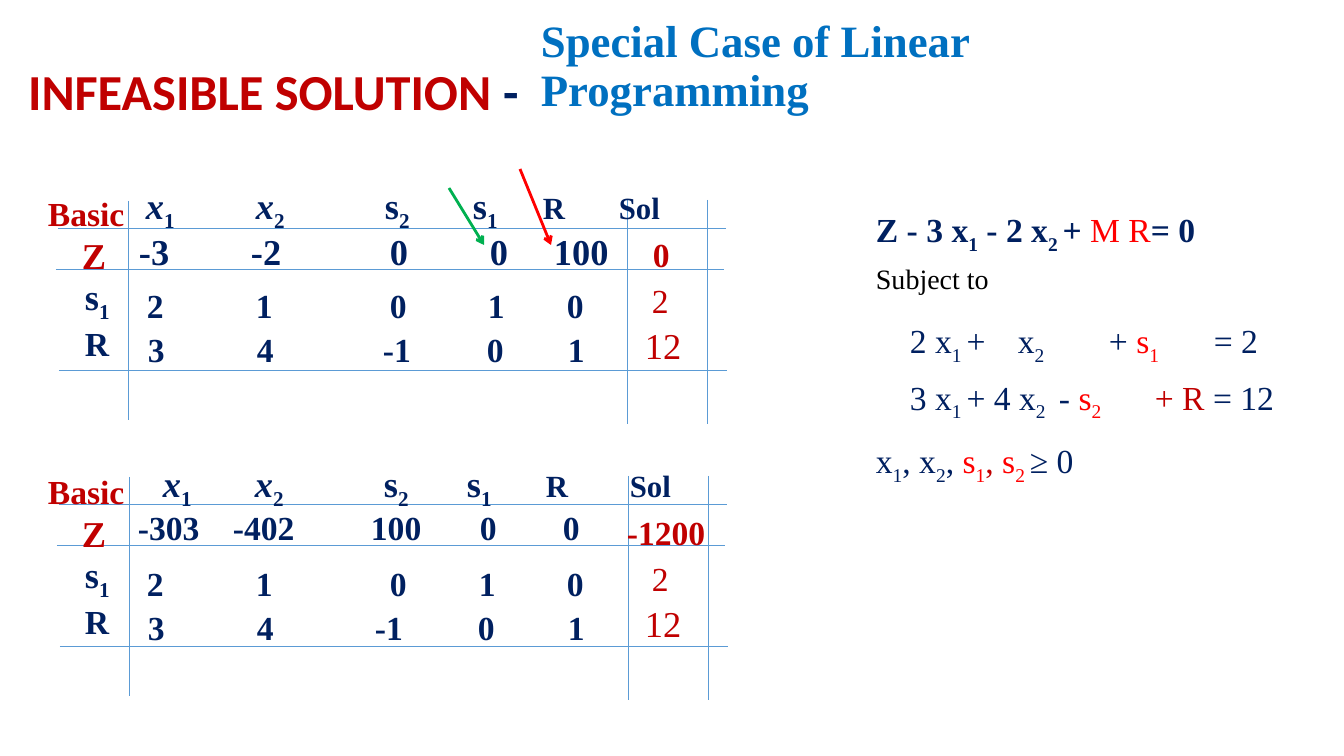
from lxml import etree
from pptx import Presentation
from pptx.dml.color import RGBColor
from pptx.enum.shapes import MSO_CONNECTOR
from pptx.enum.text import MSO_ANCHOR, MSO_AUTO_SIZE, PP_ALIGN
from pptx.oxml.ns import qn
from pptx.util import Pt

PX = 914400 / 100.8
INSET = 10
STRAIGHT = MSO_CONNECTOR.STRAIGHT
BOTTOM = MSO_ANCHOR.BOTTOM
NO_FIT = MSO_AUTO_SIZE.NONE
LEFT = PP_ALIGN.LEFT
SERIF = "Times New Roman"
COLORS = {"navy": "002060", "dark_red": "C00000", "red": "FF0000", "green": "00B050",
          "sky": "0070C0", "grid": "5B9BD5", "black": "000000"}

deck = Presentation()
deck.slide_width, deck.slide_height = round(1344 * PX), round(756 * PX)
page = deck.slides.add_slide(deck.slide_layouts[5])


def write_runs(para, runs, size, font=SERIF, left=0, stops=()):
    para.alignment = LEFT
    if stops:
        tab_list = etree.SubElement(para._p.get_or_add_pPr(), qn("a:tabLst"))
        for stop in stops:
            position = round((stop - left - INSET) * PX)
            etree.SubElement(tab_list, qn("a:tab"), pos=str(position), algn="l")
    for text, color, style in runs:
        span = para.add_run()
        span.text = text
        span.font.name = font
        span.font.size = Pt(size)
        span.font.bold = "b" in style
        span.font.italic = "i" in style
        span.font.color.rgb = RGBColor.from_string(COLORS[color])
        if "_" in style:
            span._r.get_or_add_rPr().set("baseline", "-25000")


def add_line(x1, y1, x2, y2, color, width):
    line = page.shapes.add_connector(
        STRAIGHT, *[round(value * PX) for value in (x1, y1, x2, y2)])
    line.line.color.rgb = RGBColor.from_string(COLORS[color])
    line.line.width = Pt(width)
    etree.SubElement(line._element.spPr, qn("a:effectLst"))
    return line


title = page.shapes.title
subtitle = page.shapes.add_textbox(0, 0, 0, 0)
headings = [
    (title, (18, 55, 535, 71), 36, "Calibri",
     [("INFEASIBLE SOLUTION ", "dark_red", "b"), ("-", "navy", "b")]),
    (subtitle, (531, 50, 700, 71), 32, SERIF,
     [("Special Case of Linear Programming", "sky", "b")]),
]
for box, place, size, font, runs in headings:
    box.left, box.top, box.width, box.height = [round(value * PX) for value in place]
    frame = box.text_frame
    frame.word_wrap = True
    frame.auto_size = NO_FIT
    frame.vertical_anchor = BOTTOM
    frame.paragraphs[0].line_spacing = 0.9
    write_runs(frame.paragraphs[0], runs, size, font)

grid_lines = [(58, 228, 726, 228), (56, 269, 724, 269), (59, 370, 727, 370),
              (128, 201, 128, 420), (627, 200, 627, 424), (707, 200, 707, 424)]
variables = [("x", "1", "bi"), ("x", "2", "bi"), ("s", "2", "b"), ("s", "1", "b")]
tableaus = [
    {"shift": 0, "line_shift": (0, 0),
     "header": [146, 256, 385, 473, 543, 619],
     "rows": [(224, 26, [139, 251, 390, 490, 554], ["-3", "-2", "0", "0", "100"]),
              (280, 24, [147, 256, 390, 488, 567], ["2", "1", "0", "1", "0"]),
              (324, 24, [148, 257, 383, 487, 568], ["3", "4", "-1", "0", "1"])],
     "z_solution": (653, "0")},
    {"shift": 278, "line_shift": (1, 276),
     "header": [163, 255, 384, 467, 546, 630],
     "rows": [(224, 24, [138, 233, 371, 480, 563], ["-303", "-402", "100", "0", "0"]),
              (280, 24, [147, 256, 390, 479, 567], ["2", "1", "0", "1", "0"]),
              (324, 24, [148, 257, 375, 478, 568], ["3", "4", "-1", "0", "1"])],
     "z_solution": (627, "-1200")},
]
for tableau in tableaus:
    shift_x, shift_y = tableau["line_shift"]
    for x1, y1, x2, y2 in grid_lines:
        add_line(x1 + shift_x, y1 + shift_y, x2 + shift_x, y2 + shift_y, "grid", 0.5)

    z_x, z_value = tableau["z_solution"]
    texts = [
        (188, 24, [48], [("Basic", "dark_red", "b")]),
        (228, 26, [82], [("Z", "dark_red", "b")]),
        (269, 26, [85], [("s", "navy", "b"), ("1", "navy", "b_")]),
        (318, 24, [85], [("R", "navy", "b")]),
        (229, 24, [z_x], [(z_value, "dark_red", "b")]),
        (275, 24, [652], [("2", "dark_red", "")]),
        (318, 26, [645], [("12", "dark_red", "")]),
    ]
    header_runs = []
    for letter, index, style in variables:
        header_runs += [(letter, "navy", style), (index, "navy", "b_"), ("\t", "navy", "b")]
    texts.append((178, 26, tableau["header"][:4], header_runs[:-1]))
    for x, label in zip(tableau["header"][4:], ["R", "Sol"]):
        texts.append((184, 22, [x], [(label, "navy", "b")]))
    for top, size, stops, values in tableau["rows"]:
        texts.append((top, size, stops, [("\t".join(values), "navy", "b")]))

    for top, size, stops, runs in texts:
        left = stops[0] - INSET
        width = stops[-1] - left + 100
        box = page.shapes.add_textbox(
            *[round(value * PX) for value in (left, top + tableau["shift"], width, 42)])
        box.text_frame.word_wrap = True
        write_runs(box.text_frame.paragraphs[0], runs, size, left=left, stops=stops[1:])

for ends, color in [((449, 188, 484, 245), "green"), ((520, 169, 551, 245), "red")]:
    arrow = add_line(*ends, color, 2)
    etree.SubElement(arrow.line._get_or_add_ln(), qn("a:tailEnd"), type="arrow")

model = [
    (0, 24, [], [("Z - 3 x", "navy", "b"), ("1", "navy", "b_"), (" - 2 x", "navy", "b"),
                 ("2 ", "navy", "b_"), ("+ ", "navy", "b"), ("M R", "red", ""),
                 ("= 0", "navy", "b")]),
    (10, 20, [], [("Subject to", "black", "")]),
    (18, 24, [910, 1018, 1109, 1214],
     [("\t2 x", "navy", ""), ("1 ", "navy", "_"), ("+\tx", "navy", ""), ("2", "navy", "_"),
      ("\t+ ", "navy", ""), ("s", "red", ""), ("1", "red", "_"), ("\t= 2", "navy", "")]),
    (11, 24, [910, 1059, 1155],
     [("\t3 x", "navy", ""), ("1 ", "navy", "_"), ("+ 4 x", "navy", ""), ("2", "navy", "_"),
      ("\t- ", "navy", ""), ("s", "red", ""), ("2", "red", "_"), ("\t+ R ", "dark_red", ""),
      ("= 12", "navy", "")]),
    (16, 24, [],
     [("x", "navy", ""), ("1", "navy", "_"), (", x", "navy", ""), ("2", "navy", "_"),
      (", ", "navy", ""), ("s", "red", ""), ("1", "red", "_"), (", ", "dark_red", ""),
      ("s", "red", ""), ("2 ", "red", "_"), ("≥ 0", "navy", "")]),
]
model_left = 866
model_box = page.shapes.add_textbox(
    *[round(value * PX) for value in (model_left, 205, 458, 290)])
model_frame = model_box.text_frame
model_frame.word_wrap = True
for number, (space, size, stops, runs) in enumerate(model):
    para = model_frame.add_paragraph() if number else model_frame.paragraphs[0]
    para.line_spacing = 0.9
    para.space_before = Pt(space)
    write_runs(para, runs, size, left=model_left, stops=stops)

deck.save("out.pptx")
